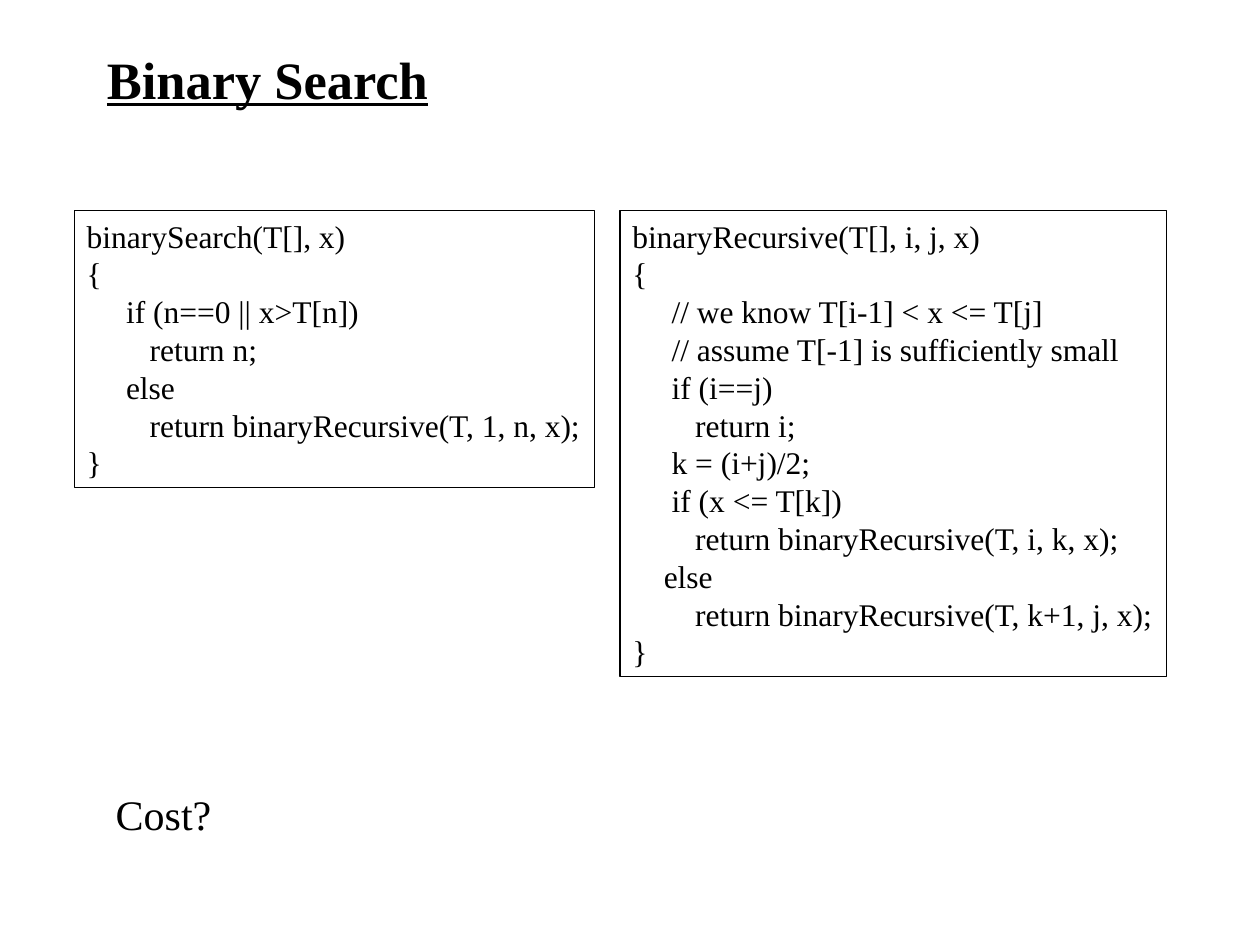
"""Build the Binary Search slide with its two code listings."""
from pptx import Presentation
from pptx.dml.color import RGBColor
from pptx.enum import shapes, text
from pptx.util import Inches, Pt

BLACK = "000000"
CODE_TOP = 1.67
SEARCH_CODE = """binarySearch(T[], x)
{
     if (n==0 || x>T[n])
        return n;
     else
        return binaryRecursive(T, 1, n, x);
}"""
RECURSIVE_CODE = """binaryRecursive(T[], i, j, x)
{
     // we know T[i-1] < x <= T[j]
     // assume T[-1] is sufficiently small
     if (i==j)
        return i;
     k = (i+j)/2;
     if (x <= T[k])
        return binaryRecursive(T, i, k, x);
    else
        return binaryRecursive(T, k+1, j, x);
}"""


def color(hex_string):
    return RGBColor.from_string(hex_string)


def write(shape, content, size=18, bold=False, underline=False, wrap=False,
          anchor=text.MSO_ANCHOR.TOP, fit=text.MSO_AUTO_SIZE.SHAPE_TO_FIT_TEXT):
    frame = shape.text_frame
    frame.text = content
    frame.word_wrap = wrap
    frame.auto_size = fit
    frame.vertical_anchor = anchor
    for paragraph in frame.paragraphs:
        paragraph.alignment = text.PP_ALIGN.LEFT
        for run in paragraph.runs:
            run.font.name = "Times New Roman"
            run.font.size = Pt(size)
            run.font.bold = bold
            run.font.underline = underline
            run.font.color.rgb = color(BLACK)


presentation = Presentation()
presentation.slide_width = Inches(10)
presentation.slide_height = Inches(7.5)
slide = presentation.slides.add_slide(presentation.slide_layouts[6])

title = slide.shapes.add_textbox(Inches(0.75), Inches(0.33), Inches(6.75), Inches(0.58))
write(title, "Binary Search", size=30, bold=True, underline=True, wrap=True,
      anchor=text.MSO_ANCHOR.MIDDLE, fit=text.MSO_AUTO_SIZE.NONE)

for left, width, height, code in (
    (0.59, 4.13, 2.2, SEARCH_CODE),
    (4.92, 4.34, 3.7, RECURSIVE_CODE),
):
    listing = slide.shapes.add_shape(
        shapes.MSO_SHAPE.RECTANGLE,
        Inches(left), Inches(CODE_TOP), Inches(width), Inches(height))
    listing.shadow.inherit = False
    listing.fill.background()
    listing.line.color.rgb = color(BLACK)
    listing.line.width = Pt(0.75)
    write(listing, code)

question = slide.shapes.add_textbox(Inches(0.82), Inches(6.21), Inches(0.96), Inches(0.5))
write(question, "Cost?", size=24)

presentation.save("out.pptx")
